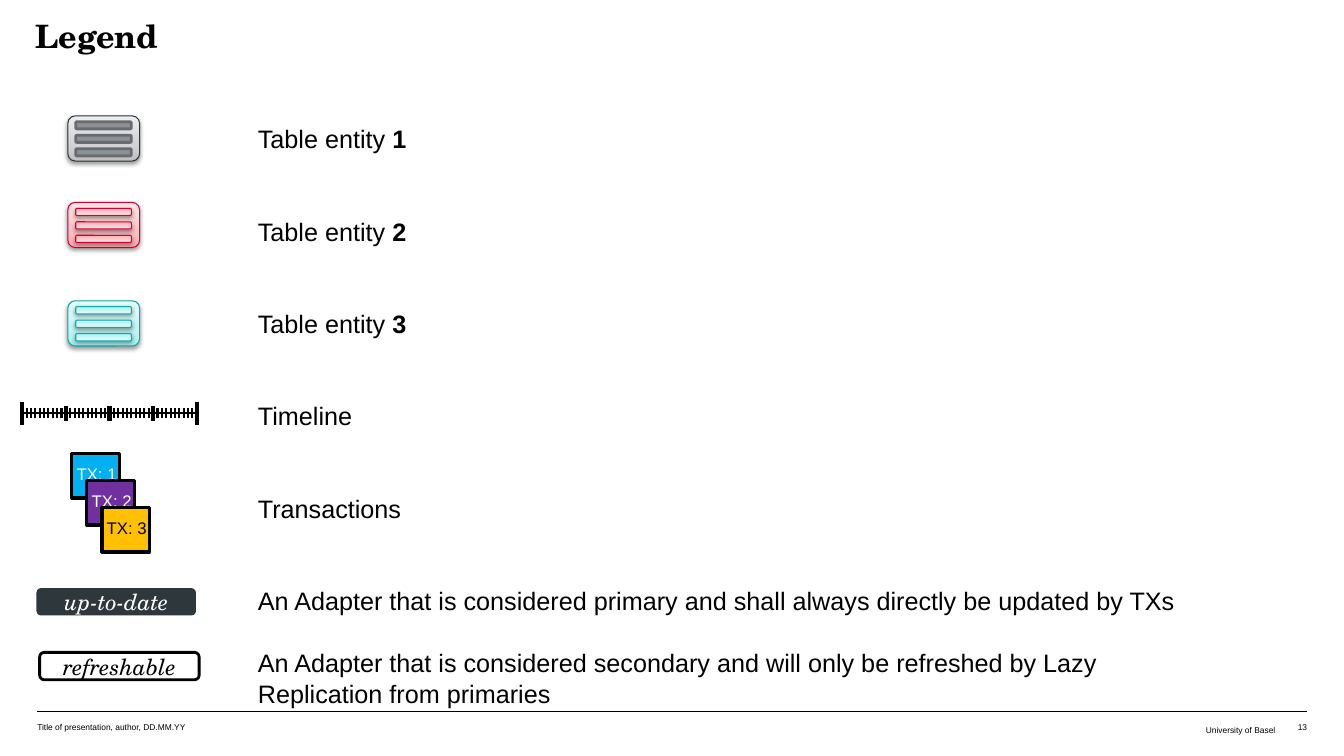
from lxml.etree import SubElement
from pptx import Presentation
from pptx.dml.color import RGBColor
from pptx.enum.shapes import MSO_CONNECTOR, MSO_SHAPE
from pptx.enum.text import MSO_ANCHOR as ANCHOR, PP_ALIGN as ALIGN
from pptx.oxml.ns import qn
from pptx.util import Cm, Pt

SANS, SERIF = "Arial", "TeX Gyre Schola"
BLACK, WHITE = "000000", "FFFFFF"


def paint(shape, fill=None, line=None, width=0.75, shadow=False):
    """Set fill (a hex colour or a list of gradient stops), line and shadow."""
    properties = shape._element.spPr
    if isinstance(fill, str):
        shape.fill.solid()
        shape.fill.fore_color.rgb = RGBColor.from_string(fill)
    elif fill:
        shape.fill.gradient()
        shape.fill.gradient_angle = 90
        stops = properties.find(qn("a:gradFill")).find(qn("a:gsLst"))
        for stop in list(stops):
            stops.remove(stop)
        for percent, color in fill:
            stop = SubElement(stops, qn("a:gs"), pos=str(percent * 1000))
            SubElement(stop, qn("a:srgbClr"), val=color)
    if line:
        shape.line.color.rgb = RGBColor.from_string(line)
        shape.line.width = Pt(width)
    else:
        shape.line.fill.background()
    effects = SubElement(properties, qn("a:effectLst"))
    if shadow:
        cast = SubElement(effects, qn("a:outerShdw"), blurRad="40000",
                          dist="20000", dir="5400000", rotWithShape="0")
        tone = SubElement(cast, qn("a:srgbClr"), val=BLACK)
        SubElement(tone, qn("a:alpha"), val="38000")


def write(holder, text, size=18, font=SANS, color=BLACK, bold=False,
          italic=False, align=ALIGN.LEFT, anchor=ANCHOR.TOP, leading=None,
          before=0, margins=(0, 0, 0, 0), wrap=True, same_line=False):
    """Add text to a shape, as a new paragraph unless same_line is set."""
    frame = holder.text_frame
    frame.word_wrap = wrap
    frame.vertical_anchor = anchor
    (frame.margin_left, frame.margin_top,
     frame.margin_right, frame.margin_bottom) = map(Cm, margins)
    paragraph = frame.paragraphs[-1]
    if paragraph.runs and not same_line:
        paragraph = frame.add_paragraph()
    if not same_line:
        paragraph.alignment = align
        paragraph.space_before = Pt(before)
        if leading:
            paragraph.line_spacing = Pt(leading)
    run = paragraph.add_run()
    run.text = text
    run.font.size, run.font.name = Pt(size), font
    run.font.bold, run.font.italic = bold, italic
    run.font.color.rgb = RGBColor.from_string(color)


deck = Presentation()
deck.slide_width, deck.slide_height = Cm(33.87), Cm(19.05)
slide = deck.slides.add_slide(deck.slide_layouts[6])
shapes = slide.shapes

# Title and footer
title = shapes.add_textbox(Cm(0.89), Cm(0.5), Cm(32), Cm(2.1))
write(title, "Legend", size=23, font=SERIF, bold=True, leading=25)

footer_rule = shapes.add_connector(
    MSO_CONNECTOR.STRAIGHT, Cm(0.94), Cm(17.93), Cm(32.94), Cm(17.93))
paint(footer_rule, line=BLACK, width=0.25)
for text, left, width, align, margins in [
    ("Title of presentation, author, DD.MM.YY", 0.94, 8, ALIGN.LEFT, (0, 0.05, 0, 0)),
    ("University of Basel", 25.33, 7.06, ALIGN.RIGHT, (0.25, 0.13, 0.25, 0.13)),
    ("13", 32.41, 0.53, ALIGN.RIGHT, (0, 0.05, 0, 0)),
]:
    footer = shapes.add_textbox(Cm(left), Cm(18.14), Cm(width), Cm(0.5))
    write(footer, text, size=6, align=align, margins=margins)

# Table entities: a rounded card with three rows
gray = [(0, "BDBFC1"), (35, "D1D2D3"), (100, "EEEEEF")]
red = [(0, "FFA8AC"), (35, "FFC1C4"), (100, "FFE8E9")]
teal = [(0, "A2F3F3"), (35, "BFF5F5"), (100, "E6FCFC")]
for top, card_fill, card_line, row_fill, row_line, row_width, row_shadow in [
    (2.92, gray, "2C363B", "8C9196", "686B6F", 2, False),
    (5.1, red, "D20033", red, "D20033", 0.75, True),
    (7.58, teal, "1AA5A5", teal, "1AA5A5", 0.75, True),
]:
    entity = shapes.add_group_shape().shapes
    card = entity.add_shape(MSO_SHAPE.ROUNDED_RECTANGLE,
                            Cm(1.71), Cm(top), Cm(1.81), Cm(1.14))
    paint(card, card_fill, card_line, shadow=True)
    for row_number in range(3):
        row = entity.add_shape(
            MSO_SHAPE.ROUNDED_RECTANGLE, Cm(1.91),
            Cm(top + 0.15 + 0.34 * row_number), Cm(1.4), Cm(0.18))
        row._element.spPr.xfrm.set("flipV", "1")
        paint(row, row_fill, row_line, row_width, row_shadow)

# Timeline: 40 steps, a heavy tick every ten, the longest at both ends
timeline = shapes.add_group_shape().shapes
axis_y, first_x, step, last = 10.41, 0.56, 0.11, 40
axis = timeline.add_connector(
    MSO_CONNECTOR.STRAIGHT, Cm(0.51), Cm(axis_y), Cm(5), Cm(axis_y))
paint(axis, line=BLACK, width=1)
for number in range(last + 1):
    if number in (0, last):
        reach, weight = 0.29, 3
    elif number % 10 == 0:
        reach, weight = 0.19, 3
    else:
        reach, weight = 0.13, 1.5
    x = Cm(first_x + step * number)
    tick = timeline.add_connector(
        MSO_CONNECTOR.STRAIGHT, x, Cm(axis_y + reach), x, Cm(axis_y - reach))
    paint(tick, line=BLACK, width=weight)

# Transactions: three overlapping squares
transactions = shapes.add_group_shape().shapes
for number, (fill, color) in enumerate(
        [("00B0F0", WHITE), ("7030A0", WHITE), ("FFC000", BLACK)]):
    transaction = transactions.add_shape(
        MSO_SHAPE.RECTANGLE, Cm(1.81 + 0.38 * number),
        Cm(11.43 + 0.68 * number), Cm(1.2), Cm(1.12))
    paint(transaction, fill, BLACK, 2.25)
    write(transaction, f"TX: {number + 1}", size=12, color=color, leading=22,
          margins=(0.12, 0, 0, 0), wrap=False)

# Adapter states
for text, left, top, fill, line, color in [
    ("up-to-date", 0.92, 14.82, "2D373C", None, WHITE),
    ("refreshable", 1, 16.44, WHITE, BLACK, BLACK),
]:
    state = shapes.add_shape(MSO_SHAPE.ROUNDED_RECTANGLE,
                             Cm(left), Cm(top), Cm(4.02), Cm(0.69))
    paint(state, fill, line, 2)
    write(state, text, size=16, font=SERIF, color=color, italic=True,
          align=ALIGN.CENTER, anchor=ANCHOR.MIDDLE)

# Descriptions
descriptions = shapes.add_textbox(Cm(6.5), Cm(3.1), Cm(23.6), Cm(13.8))
for text, bold_end, before in [
    ("Table entity ", "1", 0),
    ("Table entity ", "2", 44),
    ("Table entity ", "3", 44),
    ("Timeline", "", 44),
    ("Transactions", "", 44),
    ("An Adapter that is considered primary and shall always directly "
     "be updated by TXs", "", 44),
    ("An Adapter that is considered secondary and will only be refreshed "
     "by Lazy Replication from primaries", "", 22),
]:
    write(descriptions, text, leading=22, before=before)
    if bold_end:
        write(descriptions, bold_end, bold=True, same_line=True)

deck.save("out.pptx")
